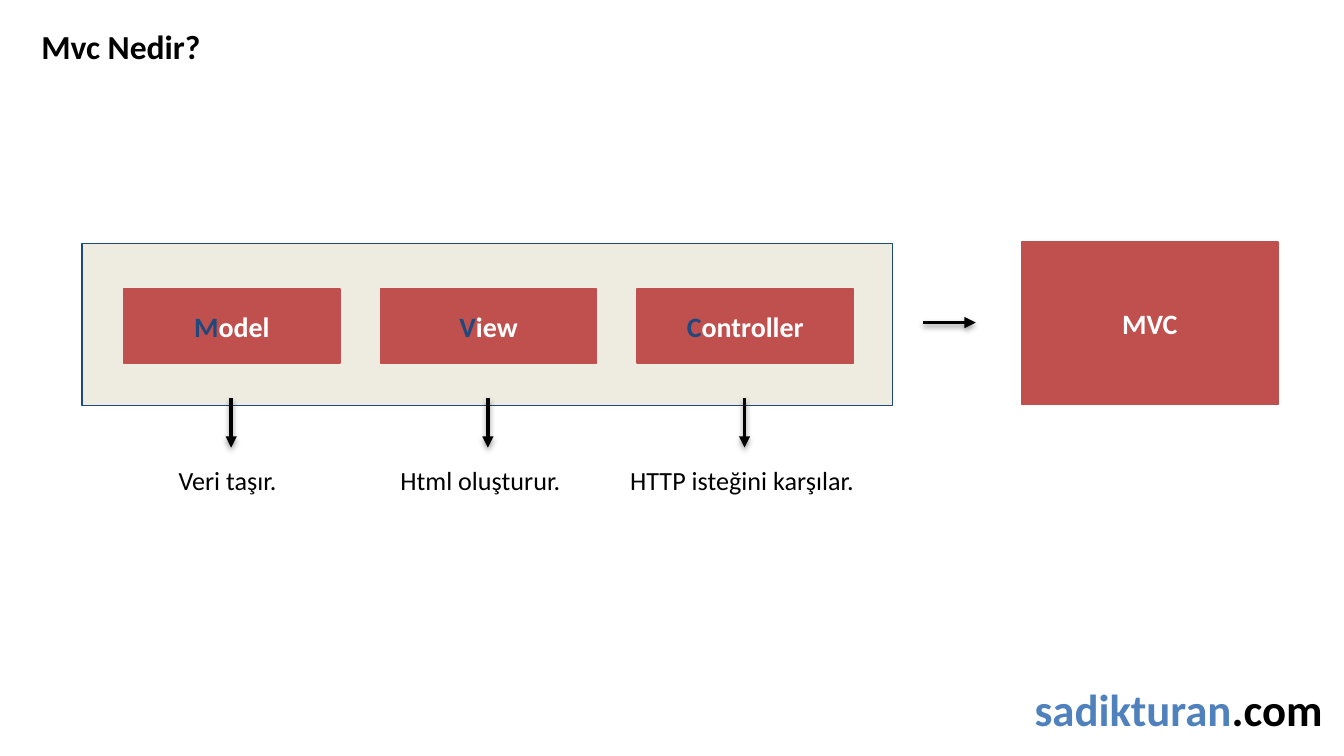
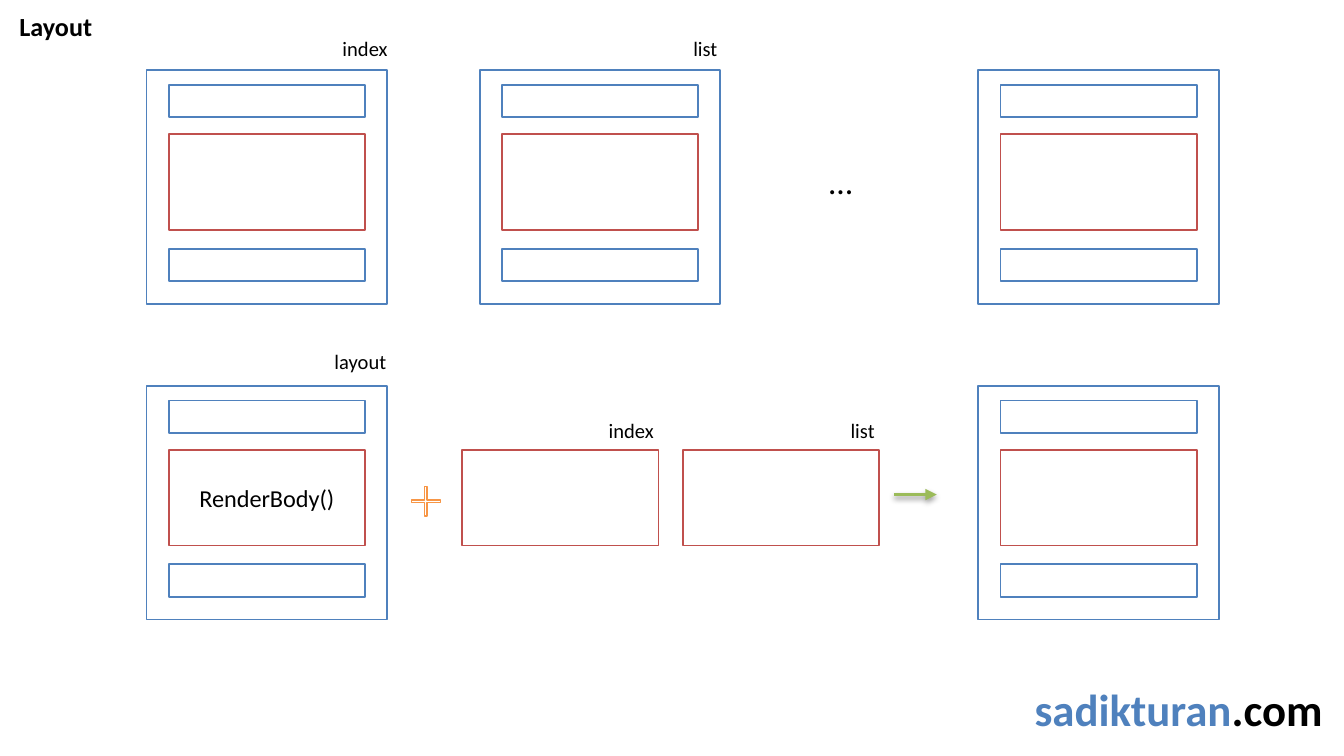
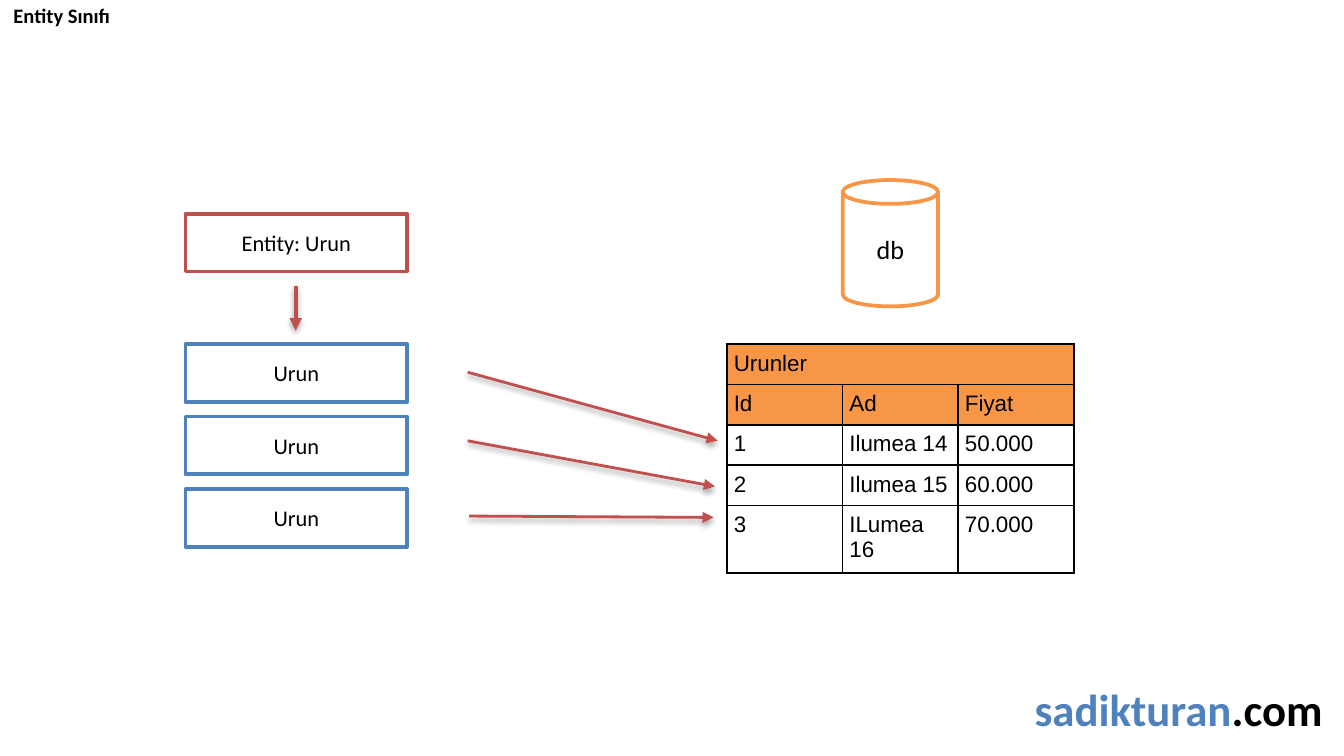
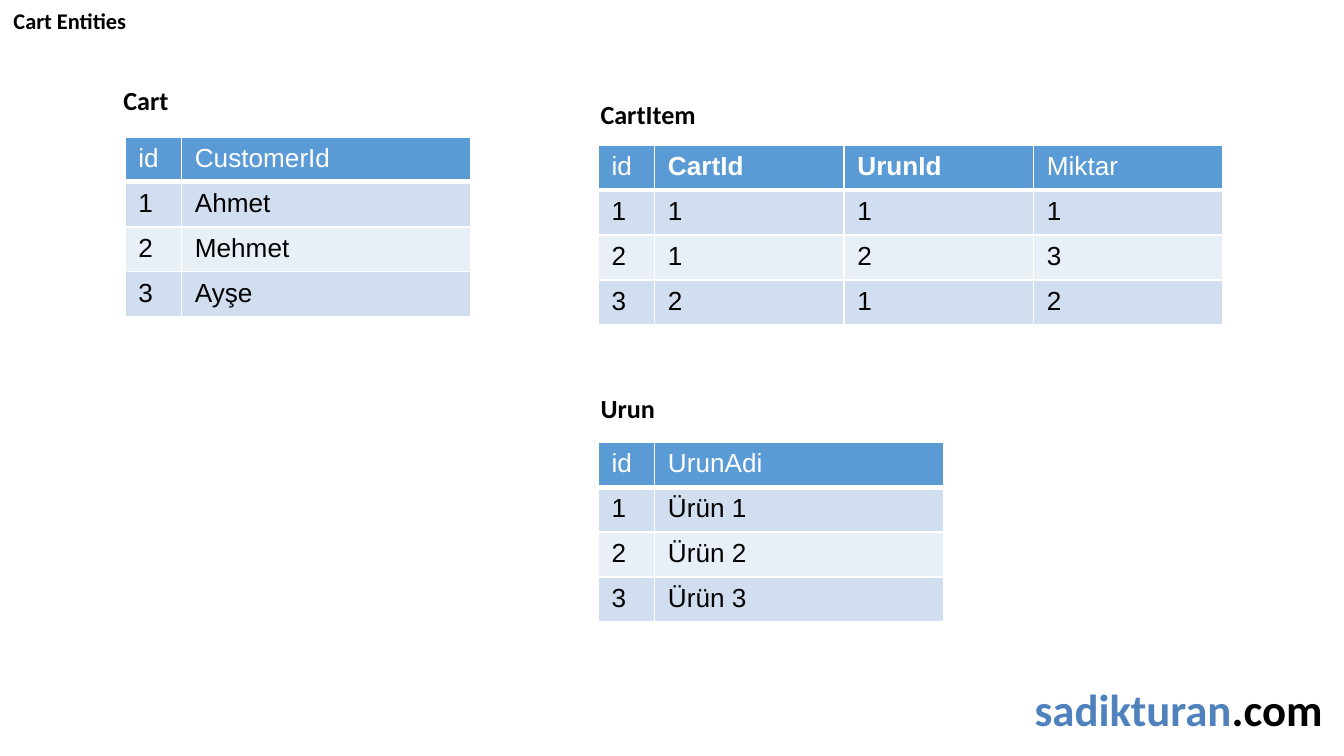
import pptx
import pptx.util
import pptx.dml.color
import pptx.enum.shapes
import pptx.enum.text
import pptx.oxml

Inches = pptx.util.Inches
Pt = pptx.util.Pt
RGBColor = pptx.dml.color.RGBColor
Shape = pptx.enum.shapes.MSO_SHAPE
Align = pptx.enum.text.PP_ALIGN
Anchor = pptx.enum.text.MSO_ANCHOR
Fit = pptx.enum.text.MSO_AUTO_SIZE

BLACK = RGBColor(0, 0, 0)
WHITE = RGBColor(255, 255, 255)
BLUE = RGBColor(0x4F, 0x81, 0xBD)
NAVY = RGBColor(0x1F, 0x49, 0x7D)
RED = RGBColor(0xC0, 0x50, 0x4D)
GREEN = RGBColor(0x9B, 0xBB, 0x59)
ORANGE = RGBColor(0xF7, 0x96, 0x46)
CREAM = RGBColor(0xEE, 0xEC, 0xE1)
HEAD = RGBColor(0x5B, 0x9B, 0xD5)
BANDS = (RGBColor(0xD0, 0xDE, 0xEF), RGBColor(0xE9, 0xEF, 0xF7))
NS = 'xmlns:a="http://schemas.openxmlformats.org/drawingml/2006/main"'


def inch(*vals):
    return [Inches(v) for v in vals]


def write(para, text, size, color=BLACK, bold=False, face="Calibri"):
    run = para.add_run()
    run.text = text
    font = run.font
    font.name, font.size, font.bold = face, Pt(size), bold
    font.color.rgb = color


def label(slide, box, text, size, bold=False):
    shape = slide.shapes.add_textbox(*inch(*box))
    frame = shape.text_frame
    frame.word_wrap = box[2] > 3
    write(frame.paragraphs[0], text, size, bold=bold)


def block(slide, box, fill, line, width, runs=(), size=12, bold=False, kind=Shape.RECTANGLE):
    shape = slide.shapes.add_shape(kind, *inch(*box))
    shape.shadow.inherit = False
    shape.fill.solid()
    shape.fill.fore_color.rgb = fill
    shape.line.color.rgb = line
    shape.line.width = Pt(width)
    frame = shape.text_frame
    frame.vertical_anchor = Anchor.MIDDLE
    para = frame.paragraphs[0]
    para.alignment = Align.CENTER
    for text, color in runs:
        write(para, text, size, color, bold)
    return shape


def arrow(slide, start, end, color, width=2, shade=38, dist=1.6):
    link = slide.shapes.add_connector(
        pptx.enum.shapes.MSO_CONNECTOR.STRAIGHT, *inch(*start, *end))
    link.line.color.rgb = color
    link.line.width = Pt(width)
    tail = pptx.oxml.parse_xml(f'<a:tailEnd {NS} type="triangle"/>')
    link.line._get_or_add_ln().append(tail)
    link._element.spPr.append(pptx.oxml.parse_xml(
        f'<a:effectLst {NS}><a:outerShdw blurRad="{Pt(3.1)}" dist="{Pt(dist)}" '
        f'dir="5400000" rotWithShape="0"><a:srgbClr val="000000">'
        f'<a:alpha val="{shade * 1000}"/></a:srgbClr></a:outerShdw></a:effectLst>'))


def edge(cell, color, base=1):
    props = cell._tc.get_or_add_tcPr()
    for side in "LRTB":
        width = base if side == "B" else 1
        props.append(pptx.oxml.parse_xml(
            f'<a:ln{side} {NS} w="{Pt(width)}"><a:solidFill>'
            f'<a:srgbClr val="{color}"/></a:solidFill></a:ln{side}>'))


def grid(slide, left, top, cols, highs, rows, style):
    frame = slide.shapes.add_table(
        len(rows), len(cols), *inch(left, top, sum(cols), sum(highs)))
    table = frame.table
    table.first_row = table.horz_banding = False
    for col, width in zip(table.columns, cols):
        col.width = Inches(width)
    for row, high in zip(table.rows, highs):
        row.height = Inches(high)
    for r, row in enumerate(rows):
        for c, text in enumerate(row):
            style(table.cell(r, c), r, text)
    return table


def start(deck, text, box, size, align=Align.LEFT):
    slide = deck.slides.add_slide(deck.slide_layouts[5])
    title = slide.shapes.title
    title.left, title.top, title.width, title.height = inch(*box)
    frame = title.text_frame
    frame.auto_size = Fit.NONE
    frame.word_wrap = box[2] > 3
    frame.vertical_anchor = Anchor.TOP
    para = frame.paragraphs[0]
    para.alignment = align
    write(para, text, size, bold=True)
    foot = slide.shapes.add_textbox(*inch(7.6, 5.02, 2.37, 0.5))
    foot.text_frame.word_wrap = False
    para = foot.text_frame.paragraphs[0]
    write(para, "sadikturan", 24, BLUE, True)
    write(para, ".com", 24, BLACK, True)
    return slide


def parts(slide, x, y):
    block(slide, (x, y, 6.03, 1.21), CREAM, NAVY, 0.75)
    names = ("Model", "View", "Controller")
    notes = (("Veri taşır.", 0.62, 0.98), ("Html oluşturur.", 2.27, 1.48),
             ("HTTP isteğini karşılar.", 3.98, 1.87))
    for i, (name, (note, shift, width)) in enumerate(zip(names, notes)):
        left = x + 0.31 + i * 1.91
        block(slide, (left, y + 0.34, 1.61, 0.55), RED, RED, 0.75,
              ((name[0], NAVY), (name[1:], WHITE)), 15, True)
        mid = left + 0.8
        arrow(slide, (mid, y + 1.15), (mid, y + 1.52), BLACK)
        label(slide, (x + shift, y + 1.6, width, 0.34), note, 14)


def model(deck):
    slide = start(deck, "Mvc Nedir?", (0.2, 0.14, 1.4, 0.4), 18, Align.CENTER)
    parts(slide, 0.61, 1.81)
    block(slide, (7.6, 1.8, 1.91, 1.21), RED, RED, 0.75, (("MVC", WHITE),), 15, True)
    arrow(slide, (6.87, 2.4), (7.26, 2.4), BLACK)


def body(slide, x, y, text=""):
    runs = ((text, BLACK),) if text else ()
    block(slide, (x, y, 1.46, 0.71), WHITE, RED, 1, runs, 13)


def page(slide, x, y, text=""):
    block(slide, (x, y, 1.79, 1.74), WHITE, BLUE, 1)
    left = x + (1.79 - 1.46) / 2
    for shift in (0.11, 1.33):
        block(slide, (left, y + shift, 1.46, 0.24), WHITE, BLUE, 1)
    body(slide, left, y + 0.48, text)


def layout(deck):
    slide = start(deck, "Layout", (0.04, 0.03, 0.75, 0.34), 14, Align.CENTER)
    for x in (1.09, 3.57, 7.28):
        page(slide, x, 0.52)
    label(slide, (6.07, 1.15, 0.38, 0.4), "…", 18)
    page(slide, 1.09, 2.87, "RenderBody()")
    page(slide, 7.28, 2.87)
    for x in (3.44, 5.08):
        body(slide, x, 3.35)
    plus = block(slide, (3.02, 3.58, 0.3, 0.3), WHITE, ORANGE, 0.75, kind=Shape.MATH_PLUS)
    plus.adjustments[0] = 0.06
    arrow(slide, (6.65, 3.68), (6.97, 3.68), GREEN)
    for text, x, y, width in (("index", 2.45, 0.22, 0.54), ("list", 5.06, 0.22, 0.38),
                              ("layout", 2.39, 2.55, 0.59), ("index", 4.43, 3.06, 0.54),
                              ("list", 6.23, 3.06, 0.38)):
        label(slide, (x, y, width, 0.29), text, 11)


def stock(cell, row, text):
    cell.margin_left = cell.margin_right = Inches(0.05)
    cell.margin_top = cell.margin_bottom = Inches(0.05)
    edge(cell, BLACK)
    if row < 2:
        cell.fill.solid()
        cell.fill.fore_color.rgb = ORANGE
    else:
        cell.fill.background()
    if text:
        write(cell.text_frame.paragraphs[0], text, 12, face="Arial")


def entity(deck):
    slide = start(deck, "Entity Sınıfı", (0, -0.03, 5.03, 0.29), 11)
    block(slide, (6.27, 1.34, 0.71, 0.94), WHITE, ORANGE, 2,
          (("db", BLACK),), 14, kind=Shape.CAN)
    block(slide, (1.38, 1.59, 1.65, 0.43), WHITE, RED, 2, (("Entity: Urun", BLACK),))
    for i in range(3):
        block(slide, (1.38, 2.56 + i * 0.54, 1.65, 0.43), WHITE, BLUE, 2, (("Urun", BLACK),))
    rows = (("Urunler", "", ""), ("Id", "Ad", "Fiyat"), ("1", "Ilumea 14", "50.000"),
            ("2", "Ilumea 15", "60.000"), ("3", "ILumea 16", "70.000"))
    table = grid(slide, 5.41, 2.56, (0.86,) * 3, (0.25, 0.21, 0.28, 0.24, 0.24), rows, stock)
    table.cell(0, 0).merge(table.cell(0, 2))
    arrow(slide, (2.2, 2.13), (2.2, 2.46), RED, 2.25, 35, 1.8)
    for tail, tip in (((3.48, 2.77), (5.34, 3.28)), ((3.48, 3.28), (5.32, 3.62)),
                      ((3.49, 3.84), (5.31, 3.85))):
        arrow(slide, tail, tip, RED, 1.5, 35, 1.8)


def band(cell, row, text):
    edge(cell, WHITE, 1 if row else 3)
    cell.fill.solid()
    cell.fill.fore_color.rgb = BANDS[(row - 1) % 2] if row else HEAD
    write(cell.text_frame.paragraphs[0], text, 14, BLACK if row else WHITE,
          text in ("CartId", "UrunId"), "Arial")


def cart(deck):
    slide = start(deck, "Cart Entities", (0, 0, 5.03, 0.3), 12)
    sets = (
        ("Cart", (0.82, 0.58, 5.03, 0.34), (0.93, 1.02), (0.42, 2.15),
         (("id", "CustomerId"), ("1", "Ahmet"), ("2", "Mehmet"), ("3", "Ayşe"))),
        ("CartItem", (4.37, 0.68, 0.97, 0.34), (4.45, 1.08), (0.42, 1.41, 1.41, 1.41),
         (("id", "CartId", "UrunId", "Miktar"), "1111", "2123", "3212")),
        ("Urun", (4.37, 2.87, 0.97, 0.34), (4.45, 3.29), (0.42, 2.15),
         (("id", "UrunAdi"), ("1", "Ürün 1"), ("2", "Ürün 2"), ("3", "Ürün 3"))),
    )
    for name, box, spot, cols, rows in sets:
        label(slide, box, name, 14, True)
        grid(slide, *spot, cols, (0.29,) * 4, rows, band)


def main():
    deck = pptx.Presentation()
    deck.slide_width = Inches(10)
    deck.slide_height = deck.slide_width * 9 // 16
    for build in (model, layout, entity, cart):
        build(deck)
    deck.save("out.pptx")


if __name__ == "__main__":
    main()
